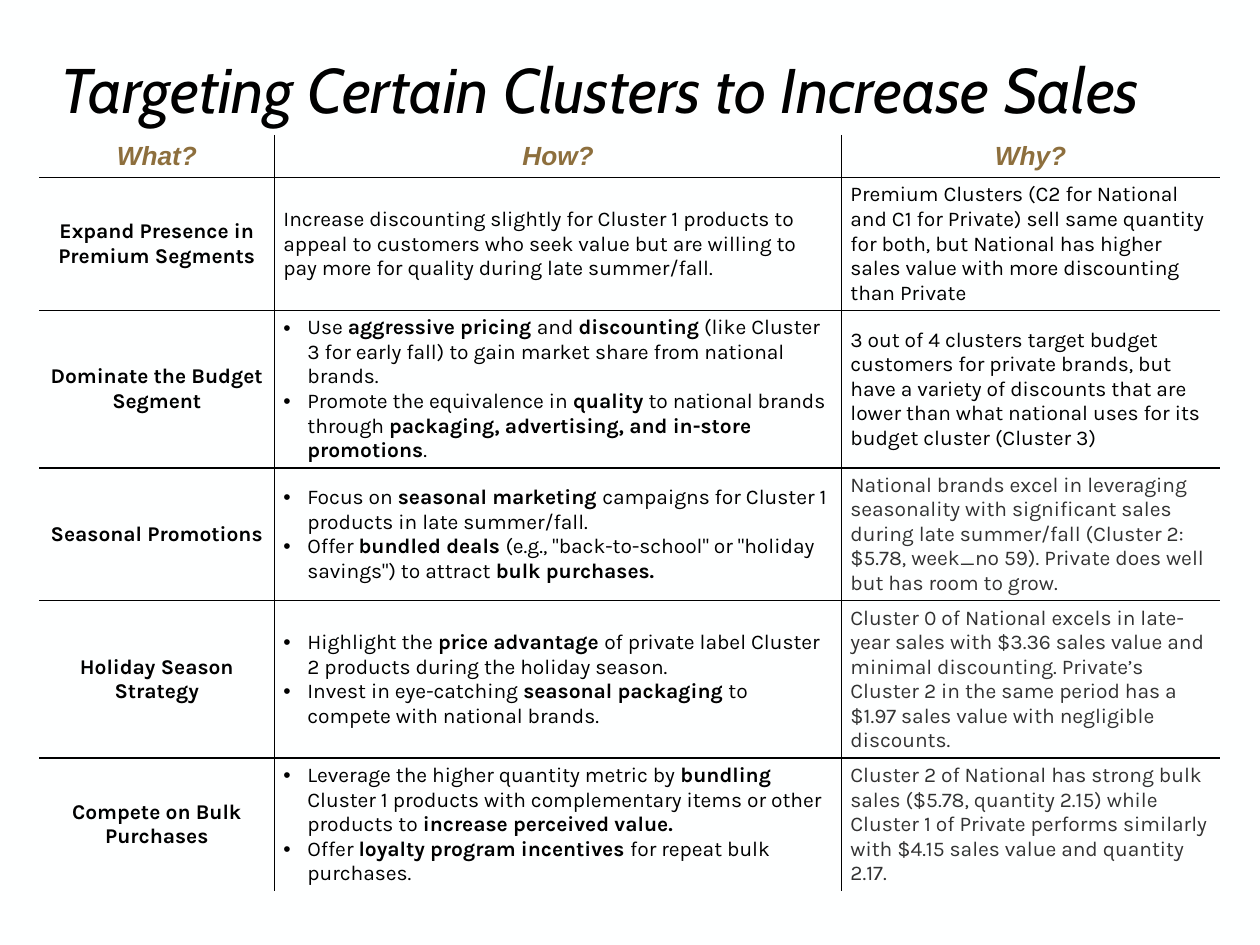
from dataclasses import dataclass

import lxml.etree
import pptx
import pptx.dml.color
import pptx.enum.text
import pptx.oxml.ns
import pptx.util

Inches = pptx.util.Inches
Pt = pptx.util.Pt
Align = pptx.enum.text.PP_ALIGN
Anchor = pptx.enum.text.MSO_ANCHOR
qn = pptx.oxml.ns.qn


@dataclass(frozen=True)
class Theme:
    title_font: str = "Cabin"
    header_font: str = "Arial"
    body_font: str = "Karla"
    title_size: float = 36
    header_size: float = 15
    body_size: float = 12
    background: str = "FEFFFF"
    black: str = "000000"
    gray: str = "333333"
    gold: str = "8D6F3D"
    rule_width: float = 1


COLUMN_WIDTHS = (1.87, 4.5, 3)
HEADER_HEIGHT = 0.34
ROW_HEIGHT = 0.68
HEADINGS = ("What?", "How?", "Why?")

# Each row: what, how (a list is bulleted, ** marks bold), why, why in gray
ROWS = [
    ("Expand Presence in Premium Segments",
     "Increase discounting slightly for Cluster 1 products to appeal to customers who seek value "
     "but are willing to pay more for quality during late summer/fall.",
     "Premium Clusters (C2 for National and C1 for Private) sell same quantity for both, but "
     "National has higher sales value with more discounting than Private", False),
    ("Dominate the Budget Segment",
     ["Use **aggressive pricing **and **discounting** (like Cluster 3 for early fall) to gain "
      "market share from national brands.",
      "Promote the equivalence in **quality** to national brands through **packaging, "
      "advertising, and in-store promotions**."],
     "3 out of 4 clusters target budget customers for private brands, but have a variety of "
     "discounts that are lower than what national uses for its budget cluster (Cluster 3)", False),
    ("Seasonal Promotions",
     ["Focus on **seasonal marketing **campaigns for Cluster 1 products in late summer/fall.",
      "Offer **bundled deals **(e.g., \"back-to-school\" or \"holiday savings\") to attract "
      "**bulk purchases.**"],
     "National brands excel in leveraging seasonality with significant sales during late "
     "summer/fall (Cluster 2: $5.78, week_no 59). Private does well but has room to grow.", True),
    ("Holiday Season Strategy",
     ["Highlight the **price advantage **of private label Cluster 2 products during the holiday "
      "season.",
      "Invest in eye-catching **seasonal packaging **to compete with national brands."],
     "Cluster 0 of National excels in late-year sales with $3.36 sales value and minimal "
     "discounting. Private’s Cluster 2 in the same period has a $1.97 sales value with "
     "negligible discounts.", True),
    ("Compete on Bulk Purchases",
     ["Leverage the higher quantity metric by **bundling** Cluster 1 products with complementary "
      "items or other products to **increase perceived value.**",
      "Offer **loyalty program incentives **for repeat bulk purchases."],
     "Cluster 2 of National has strong bulk sales ($5.78, quantity 2.15) while Cluster 1 of "
     "Private performs similarly with $4.15 sales value and quantity 2.17.", True),
]


def rgb(color):
    return pptx.dml.color.RGBColor.from_string(color)


def add_bullet(paragraph):
    properties = paragraph._p.get_or_add_pPr()
    properties.set("marL", str(Inches(0.19)))
    properties.set("indent", str(-Inches(0.19)))
    font = lxml.etree.SubElement(properties, qn("a:buFont"))
    font.set("typeface", "Arial")
    lxml.etree.SubElement(properties, qn("a:buChar")).set("char", "•")


def write_text(frame, text, *, font, size, color, bold=False, italic=False,
               align=Align.LEFT, line_spacing=None):
    """Write a string, or a list of strings as bullets; ** switches bold."""
    bulleted = isinstance(text, list)
    for index, line in enumerate(text if bulleted else [text]):
        paragraph = frame.add_paragraph() if index else frame.paragraphs[0]
        if bulleted:
            add_bullet(paragraph)
        paragraph.alignment = align
        if line_spacing:
            paragraph.line_spacing = line_spacing
        for position, part in enumerate(line.split("**")):
            if not part:
                continue
            run = paragraph.add_run()
            run.text = part
            run.font.name = font
            run.font.size = Pt(size)
            run.font.color.rgb = rgb(color)
            run.font.bold = bold or position % 2 == 1
            run.font.italic = italic


class SlideBuilder:
    def __init__(self, presentation, theme):
        self.theme = theme
        self.slide = presentation.slides.add_slide(presentation.slide_layouts[5])
        fill = self.slide.background.fill
        fill.solid()
        fill.fore_color.rgb = rgb(theme.background)

    def title(self, text, left, top, width, height):
        shape = self.slide.shapes.title
        shape.left, shape.top = Inches(left), Inches(top)
        shape.width, shape.height = Inches(width), Inches(height)
        frame = shape.text_frame
        frame.word_wrap = True
        frame.auto_size = pptx.enum.text.MSO_AUTO_SIZE.NONE
        frame.vertical_anchor = Anchor.MIDDLE
        write_text(frame, text, font=self.theme.title_font, size=self.theme.title_size,
                   color=self.theme.black, italic=True, line_spacing=0.9)

    def borders(self, cell, visible):
        """Rule the sides named in visible and clear the others."""
        properties = cell._tc.get_or_add_tcPr()
        for index, side in enumerate("LRTB"):
            line = lxml.etree.Element(qn(f"a:ln{side}"), w=str(Pt(self.theme.rule_width)))
            if side in visible:
                fill = lxml.etree.SubElement(line, qn("a:solidFill"))
                lxml.etree.SubElement(fill, qn("a:srgbClr")).set("val", self.theme.black)
            else:
                lxml.etree.SubElement(line, qn("a:noFill"))
            properties.insert(index, line)

    def cell(self, cell, text, visible, **text_format):
        cell.vertical_anchor = Anchor.MIDDLE
        cell.margin_left = cell.margin_right = Inches(0.07)
        cell.margin_top = cell.margin_bottom = Inches(0.04)
        cell.fill.solid()
        cell.fill.fore_color.rgb = rgb(self.theme.background)
        self.borders(cell, visible)
        write_text(cell.text_frame, text, **text_format)

    def strategy_table(self, left, top, height):
        theme = self.theme
        row_count, column_count = len(ROWS) + 1, len(HEADINGS)
        graphic = self.slide.shapes.add_table(
            row_count, column_count, Inches(left), Inches(top),
            Inches(sum(COLUMN_WIDTHS)), Inches(height))
        table = graphic.table
        for column, width in zip(table.columns, COLUMN_WIDTHS):
            column.width = Inches(width)
        for index, row in enumerate(table.rows):
            row.height = Inches(ROW_HEIGHT if index else HEADER_HEIGHT)
        graphic.height = Inches(height)

        header = dict(font=theme.header_font, size=theme.header_size, color=theme.gold,
                      bold=True, italic=True, align=Align.CENTER)
        body = dict(font=theme.body_font, size=theme.body_size, color=theme.black)
        label = dict(body, bold=True, align=Align.CENTER)
        contents = [[(heading, header) for heading in HEADINGS]]
        for what, how, why, is_gray in ROWS:
            reason = dict(body, color=theme.gray if is_gray else theme.black)
            contents.append([(what, label), (how, body), (why, reason)])

        # Only the inner grid lines are drawn
        for r, row in enumerate(contents):
            for c, (text, text_format) in enumerate(row):
                visible = (("L" if c else "") + ("R" if c < column_count - 1 else "")
                           + ("T" if r else "") + ("B" if r < row_count - 1 else ""))
                self.cell(table.cell(r, c), text, visible, **text_format)


def main():
    presentation = pptx.Presentation()
    presentation.slide_width = Inches(10)
    presentation.slide_height = Inches(7.5)
    builder = SlideBuilder(presentation, Theme())
    builder.strategy_table(0.31, 1.07, 5.71)
    builder.title("Targeting Certain Clusters to Increase Sales", 0.38, 0.42, 9.24, 0.64)
    presentation.save("out.pptx")


if __name__ == "__main__":
    main()
